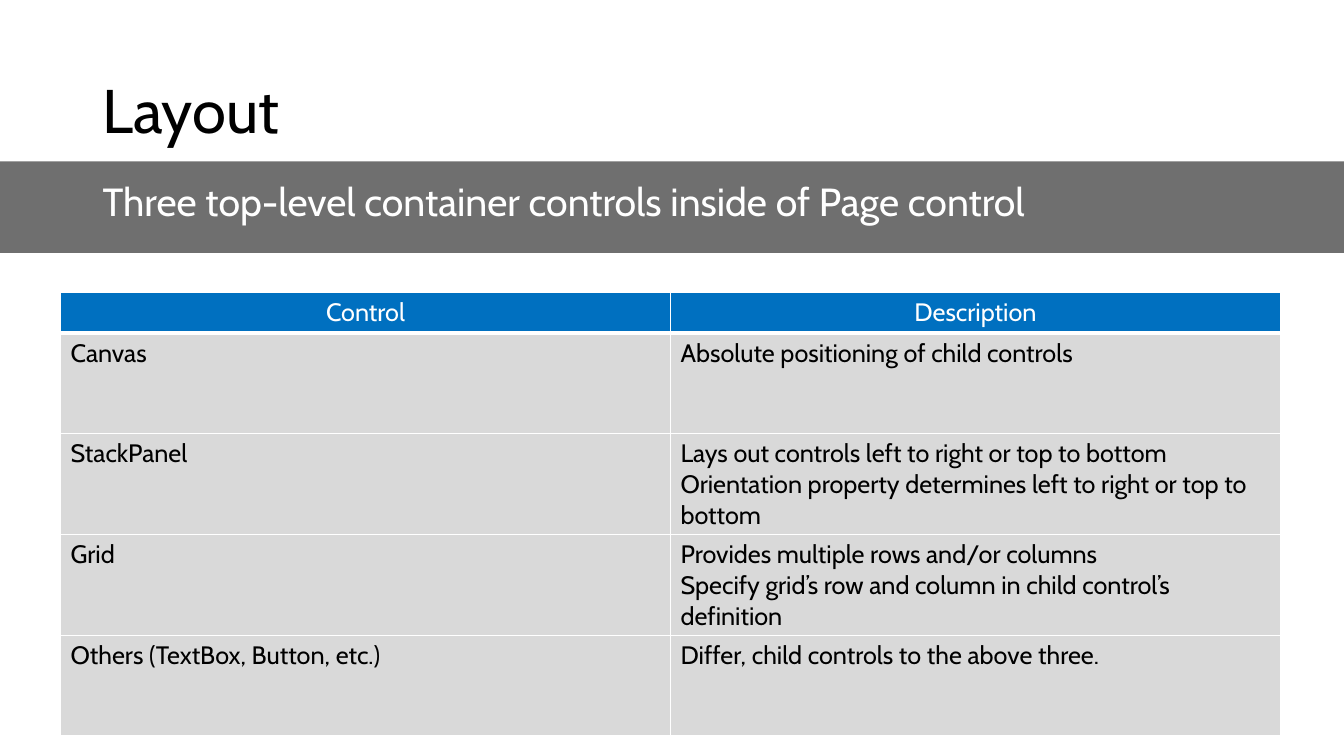
from lxml import etree
from pptx import Presentation
from pptx.dml.color import RGBColor
from pptx.enum.shapes import MSO_SHAPE
from pptx.enum.text import MSO_ANCHOR, PP_ALIGN
from pptx.oxml.ns import qn
from pptx.util import Inches, Pt

COLORS = {"ink": "000000", "paper": "FFFFFF", "band": "6F6F6F", "header": "0070C0", "body": "D9D9D9"}
FONT = "Cabin"
CONTROLS = [
    ("Control", "Description"),
    ("Canvas", "Absolute positioning of child controls"),
    ("StackPanel", "Lays out controls left to right or top to bottom\n"
                   "Orientation property determines left to right or top to bottom"),
    ("Grid", "Provides multiple rows and/or columns\n"
             "Specify grid’s row and column in child control’s definition"),
    ("Others (TextBox, Button, etc.)", "Differ, child controls to the above three."),
]


def color(name):
    """Return the named colour."""
    return RGBColor.from_string(COLORS[name])


def style(para, size, ink):
    """Set the font of a paragraph."""
    para.font.name = FONT
    para.font.size = Pt(size)
    para.font.color.rgb = color(ink)


def add_line(page, left, top, width, height, text, size, ink):
    """Add one vertically centred line of text."""
    box = page.shapes.add_textbox(Inches(left), Inches(top), Inches(width), Inches(height))
    frame = box.text_frame
    frame.word_wrap = True
    frame.vertical_anchor = MSO_ANCHOR.MIDDLE
    para = frame.paragraphs[0]
    para.text = text
    para.line_spacing = 0.9
    style(para, size, ink)


def add_band(page, left, top, width, height, text):
    """Add the full-width grey band with its subtitle."""
    band = page.shapes.add_shape(
        MSO_SHAPE.RECTANGLE, Inches(left), Inches(top), Inches(width), Inches(height))
    band.shadow.inherit = False
    band.fill.solid()
    band.fill.fore_color.rgb = color("band")
    band.line.fill.background()
    add_line(page, left + 0.92, top - 0.03, width - 1.7, height, text, 28, "paper")


def add_borders(cell, bottom):
    """Draw white cell borders, with the bottom one of the given width."""
    properties = cell._tc.get_or_add_tcPr()
    for index, (side, width) in enumerate((("L", 1), ("R", 1), ("T", 1), ("B", bottom))):
        line = etree.Element(qn(f"a:ln{side}"), w=str(Pt(width)))
        fill = etree.SubElement(line, qn("a:solidFill"))
        etree.SubElement(fill, qn("a:srgbClr"), val=COLORS["paper"])
        properties.insert(index, line)


def add_controls_table(page, left, top, width, header_height, row_height):
    """Add the table of container controls."""
    height = header_height + row_height * (len(CONTROLS) - 1)
    table = page.shapes.add_table(
        len(CONTROLS), 2, Inches(left), Inches(top), Inches(width), Inches(height)).table
    for row_index, texts in enumerate(CONTROLS):
        header = row_index == 0
        table.rows[row_index].height = Inches(header_height if header else row_height)
        for column_index, text in enumerate(texts):
            cell = table.cell(row_index, column_index)
            cell.text = text
            cell.fill.solid()
            cell.fill.fore_color.rgb = color("header" if header else "body")
            add_borders(cell, 3 if header else 1)
            if row_index == 1:
                cell._tc.tcPr.find(qn("a:lnT")).set("w", str(Pt(3)))
            for para in cell.text_frame.paragraphs:
                para.alignment = PP_ALIGN.CENTER if header else PP_ALIGN.LEFT
                style(para, 18, "paper" if header else "ink")
                para.font.bold = False


def main():
    """Build and save the deck."""
    deck = Presentation()
    deck.slide_width, deck.slide_height = Inches(13.33), Inches(7.5)
    page = deck.slides.add_slide(deck.slide_layouts[6])
    add_line(page, 0.92, 0.4, 11.5, 1.45, "Layout", 44, "ink")
    add_controls_table(page, 0.6, 2.9, 12.1, 0.34, 1)
    add_band(page, 0, 1.6, 13.33, 0.91, "Three top-level container controls inside of Page control")
    deck.save("out.pptx")


if __name__ == "__main__":
    main()
